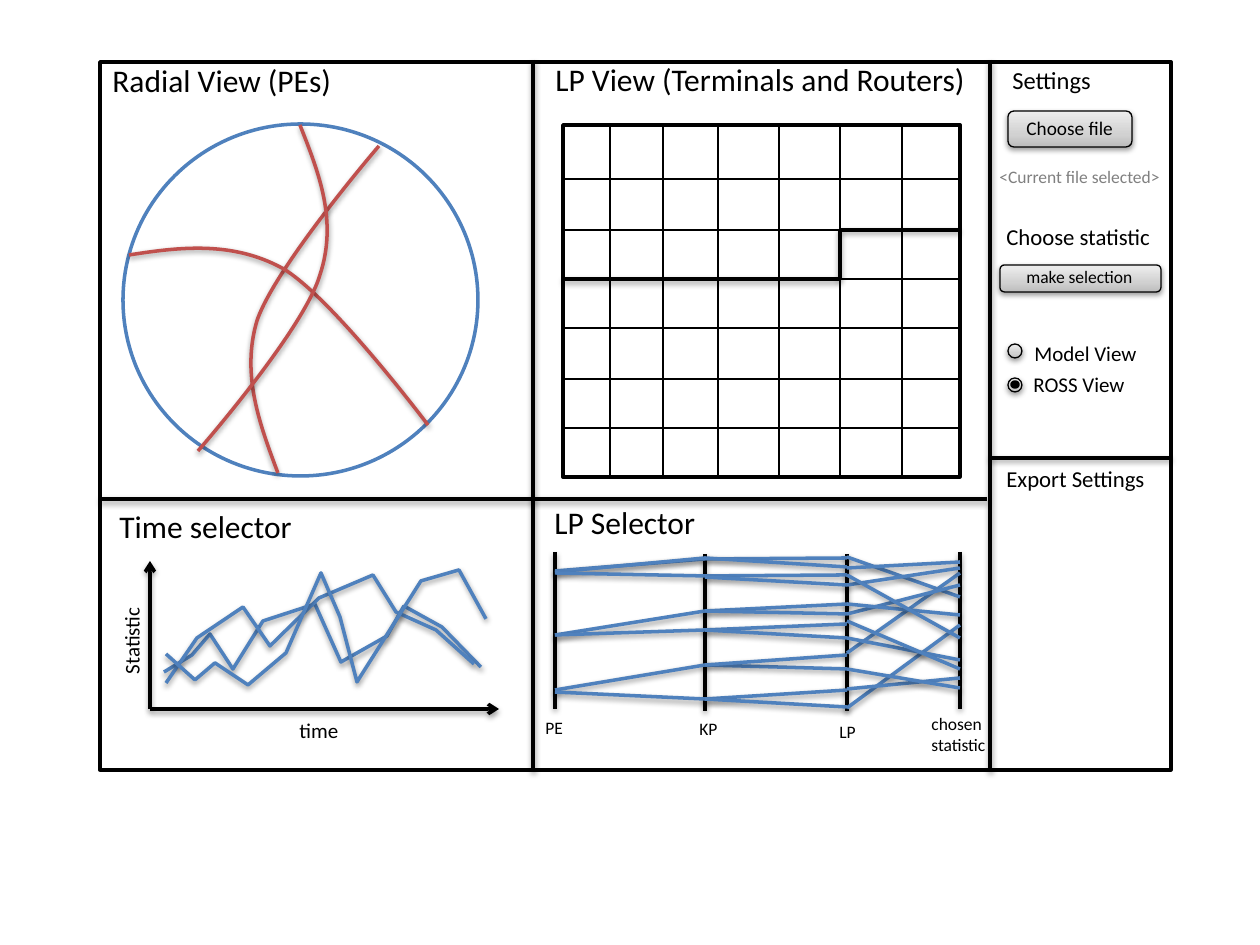
import pptx
import pptx.util
import pptx.dml.color
import pptx.enum.shapes
import pptx.enum.text
import pptx.oxml.ns
import lxml.etree
import copy

RGB = pptx.dml.color.RGBColor
BLACK = RGB(0, 0, 0)
WHITE = RGB(255, 255, 255)
GRAY = RGB(0x80, 0x80, 0x80)
BLUE = RGB(0x4F, 0x81, 0xBD)
RED = RGB(0xC0, 0x50, 0x4D)
STOPS = [(0, RGB(0xBD, 0xBD, 0xBD)), (0.35, RGB(0xD1, 0xD1, 0xD1)),
         (1, RGB(0xEE, 0xEE, 0xEE))]
SCALE = 914400 / 126
THICK, THIN = 2, 0.75
SHAPE = pptx.enum.shapes.MSO_SHAPE
FIT = pptx.enum.text.MSO_AUTO_SIZE.SHAPE_TO_FIT_TEXT
Pt = pptx.util.Pt
qn = pptx.oxml.ns.qn


def emu(*vals):
    return [round(v * SCALE) for v in vals]


def put(item, vals):
    for name, val in vals.items():
        setattr(item, name, val)


def add(node, tag, **vals):
    return lxml.etree.SubElement(node, qn(tag), **vals)


def finish(item, color, width, shade):
    item.line.color.rgb = color
    item.line.width = Pt(width)
    props = item._element.spPr
    for old in props.findall(qn("a:effectLst")):
        props.remove(old)
    effect = add(props, "a:effectLst")
    if shade:
        cast = add(effect, "a:outerShdw", blurRad="40000", dist="20000",
                   dir="5400000", rotWithShape="0")
        tint = add(cast, "a:srgbClr", val="000000")
        add(tint, "a:alpha", val="38000")


def line(slide, ends, width=THICK, shade=True, color=BLACK, arrow=False):
    item = slide.shapes.add_connector(
        pptx.enum.shapes.MSO_CONNECTOR.STRAIGHT, *emu(*ends))
    finish(item, color, width, shade)
    if arrow:
        add(item.line._get_or_add_ln(), "a:tailEnd", type="arrow")


def trace(slide, points, color=BLUE):
    pen = slide.shapes.build_freeform(*points[0], scale=SCALE)
    pen.add_line_segments(points[1:], close=False)
    item = pen.convert_to_shape()
    item.fill.background()
    finish(item, color, THICK, True)
    return item


def curve(slide, points):
    item = trace(slide, points, RED)
    steps = list(item._element.iter(qn("a:lnTo")))
    for i in range(0, len(steps), 3):
        bend = lxml.etree.Element(qn("a:cubicBezTo"))
        steps[i].addprevious(bend)
        for step in steps[i:i + 3]:
            bend.append(step[0])
            step.getparent().remove(step)


def shape(slide, kind, box, fill=WHITE, color=BLACK, width=THICK):
    item = slide.shapes.add_shape(kind, *emu(*box))
    item.fill.solid()
    item.fill.fore_color.rgb = fill
    finish(item, color, width, False)
    return item


def button(slide, kind, box):
    item = shape(slide, kind, box, width=THIN)
    fill = item.fill
    fill.gradient()
    fill.gradient_angle = 90
    first = item._element.spPr.find(".//" + qn("a:gs"))
    first.addnext(copy.deepcopy(first))
    for stop, (place, color) in zip(fill.gradient_stops, STOPS):
        stop.color.rgb = color
        stop.position = place
    finish(item, BLACK, THIN, True)


def text(slide, words, box, size, color=BLACK, wrap=True, turn=0):
    item = slide.shapes.add_textbox(*emu(*box))
    item.rotation = turn
    put(item.text_frame, {"text": words, "word_wrap": wrap, "auto_size": FIT})
    for para in item.text_frame.paragraphs:
        put(para.font, {"size": Pt(size), "name": "Calibri"})
        para.font.color.rgb = color


def frame(slide):
    shape(slide, SHAPE.RECTANGLE, (100, 62, 1071, 708))
    for ends in [(990, 60, 990, 770), (990, 458, 1171, 458),
                 (533, 60, 533, 770), (100, 499, 533, 499),
                 (533, 499, 987, 499)]:
        line(slide, ends)
    for words, box in [("Radial View (PEs)", (100, 55, 247, 51)),
                       ("LP View (Terminals and Routers)", (543, 54, 443, 51)),
                       ("Time selector", (107, 501, 200, 51)),
                       ("LP Selector", (542, 497, 168, 51))]:
        text(slide, words, box, 18, wrap=False)


def radial(slide):
    shape(slide, SHAPE.OVAL, (123, 124, 355, 352), color=BLUE)
    for points in [
        [(278, 473), (260, 425), (241, 375), (257, 321),
         (275, 267), (379, 146), (379, 146)],
        [(129, 255), (180, 247), (232, 241), (282, 268),
         (331, 296), (428, 425), (428, 425)],
        [(300, 125), (319, 173), (338, 221), (320, 275),
         (304, 330), (198, 451), (198, 451)],
    ]:
        curve(slide, points)


def grid(slide):
    left, top, right, base = 563, 125, 960, 477
    step, high, low = 840, 230, 279
    shape(slide, SHAPE.RECTANGLE, (left, top, right - left, base - top))
    thin = [(x, top, x, base) for x in (610, 663, 718, 779, 902)]
    thin += [(left, y, right, y) for y in (179, 328, 379, 428)]
    thin += [(step, top, step, high), (step, low, step, base),
             (left, high, step, high), (step, low, right, low)]
    for ends in thin:
        line(slide, ends, THIN, False)
    for ends in [(left, low, step, low), (step, high, step, low),
                 (step, high, right, high)]:
        line(slide, ends)


def times(slide):
    line(slide, (150, 709, 499, 709), arrow=True)
    line(slide, (150, 709, 150, 561), arrow=True)
    text(slide, "time", (287, 711, 135, 38), 12)
    text(slide, "Statistic", (64, 600, 135, 38), 12, turn=270)
    for points in [
        [(164, 672), (192, 655), (210, 634), (233, 669), (263, 621),
         (315, 604), (341, 662), (387, 636), (404, 606), (442, 627),
         (481, 667)],
        [(166, 683), (197, 638), (243, 607), (270, 646), (319, 598),
         (373, 575), (396, 612), (436, 630), (474, 664)],
        [(166, 654), (195, 680), (215, 663), (248, 685), (286, 653),
         (321, 573), (340, 617), (357, 682), (421, 581), (459, 570),
         (486, 619)],
    ]:
        trace(slide, points)


def paths(slide):
    axes = [555, 705, 847, 960]
    for x, y in zip(axes, (552, 554, 554, 552)):
        line(slide, (x, y, x, y + 157))
    for words, box in [("PE", (533, 711, 43, 34)), ("KP", (687, 712, 44, 34)),
                       ("LP", (827, 715, 42, 34)),
                       ("chosen\nstatistic", (919, 707, 81, 55))]:
        text(slide, words, box, 10, wrap=False)
    routes = {
        0: [(571, 559, 558), (635, 611, 604), (572, 558, 567),
            (573, 576, 575), (635, 630, 624), (690, 665, 669),
            (692, 699, 690)],
        1: [(577, 585), (611, 614), (665, 655), (630, 638), (699, 707)],
        2: [(557, 597), (708, 625), (689, 678), (568, 562), (669, 688),
            (653, 573), (638, 660), (621, 669), (614, 585), (604, 615),
            (585, 568), (575, 638)],
    }
    for start, group in routes.items():
        for route in group:
            trace(slide, list(zip(axes[start:], route)))


def panel(slide):
    button(slide, SHAPE.ROUNDED_RECTANGLE, (1008, 111, 124, 36))
    button(slide, SHAPE.ROUNDED_RECTANGLE, (1000, 265, 161, 27))
    for y in (344, 378):
        button(slide, SHAPE.OVAL, (1008, y, 14, 14))
    shape(slide, SHAPE.OVAL, (1012, 382, 6, 5), fill=BLACK)
    for words, box, size in [
        ("Settings", (1000, 59, 161, 43), 14),
        ("Choose file", (1014, 110, 161, 37), 11),
        ("Choose statistic", (994, 217, 176, 40), 13),
        ("Export Settings", (994, 459, 176, 40), 13),
        ("Model View", (1022, 334, 130, 38), 12),
        ("ROSS View", (1021, 365, 130, 38), 12),
    ]:
        text(slide, words, box, size)
    text(slide, "<Current file selected>", (987, 160, 194, 34), 10, GRAY)
    text(slide, "make selection", (1014, 260, 134, 34), 10, wrap=False)


def main():
    deck = pptx.Presentation()
    wide, high = emu(1260, 945)
    put(deck, {"slide_width": wide, "slide_height": high})
    slide = deck.slides.add_slide(deck.slide_layouts[6])
    for draw in (frame, radial, grid, times, paths, panel):
        draw(slide)
    deck.save("out.pptx")


main()
